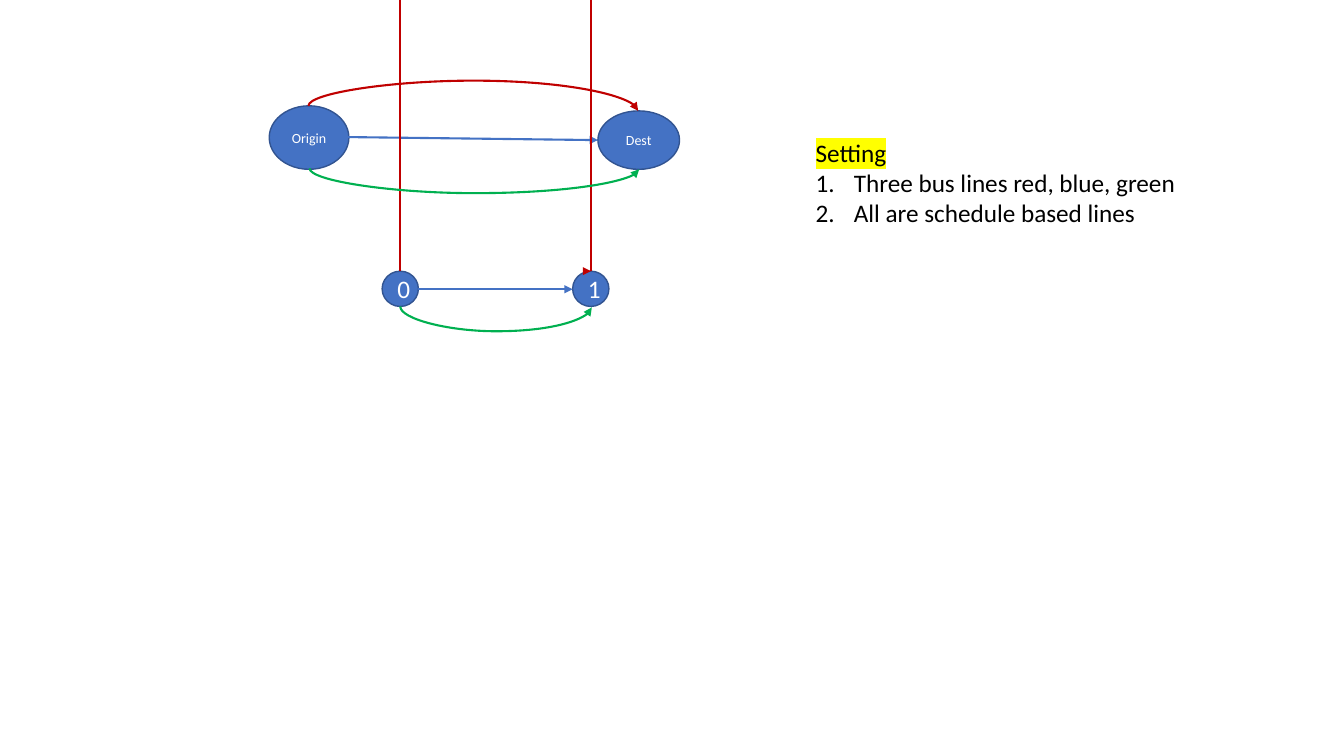
from lxml import etree
from pptx import Presentation, util as u
from pptx.dml.color import RGBColor
from pptx.enum import shapes, text
from pptx.oxml.ns import qn

BLUE, GREEN, RED, WHITE, BLACK = "4472C4", "00B050", "C00000", "FFFFFF", "000000"
OUTLINE, YELLOW = "325491", "FFFF00"
presentation = Presentation()
presentation.slide_width, presentation.slide_height = u.Inches(13.33), u.Inches(7.5)
slide = presentation.slides.add_slide(presentation.slide_layouts[6])
unit = presentation.slide_height / 75


def paint(color_format, color):
    color_format.rgb = RGBColor.from_string(color)


def connect(kind, color, left, top, right, bottom, arrow=True):
    connector = slide.shapes.add_connector(
        kind, *(round(value * unit) for value in (left, top, right, bottom)))
    paint(connector.line.color, color)
    connector.line.width = u.Pt(1.5)
    if arrow:
        etree.SubElement(connector.line._get_or_add_ln(), qn("a:tailEnd"), type="triangle")
    etree.SubElement(connector._element.spPr, qn("a:effectLst"))
    return connector


straight, curve = shapes.MSO_CONNECTOR.STRAIGHT, shapes.MSO_CONNECTOR.CURVE

for label, size, left, top, width, height in [
    ("0", 18, 37.9, 26.9, 3.6, 3.5),
    ("1", 18, 56.8, 26.9, 3.6, 3.5),
    ("Origin", 10, 26.7, 10.5, 7.9, 6.3),
    ("Dest", 10, 59.3, 11, 8.1, 5.8),
]:
    stop = slide.shapes.add_shape(
        shapes.MSO_SHAPE.OVAL, *(round(value * unit) for value in (left, top, width, height)))
    stop.shadow.inherit = False
    stop.fill.solid()
    paint(stop.fill.fore_color, BLUE)
    paint(stop.line.color, OUTLINE)
    stop.line.width = u.Pt(1)
    stop.text_frame.vertical_anchor = text.MSO_ANCHOR.MIDDLE
    paragraph = stop.text_frame.paragraphs[0]
    paragraph.alignment = text.PP_ALIGN.CENTER
    run = paragraph.add_run()
    run.text = label
    run.font.size, run.font.name = u.Pt(size), "Calibri"
    paint(run.font.color, WHITE)

connect(straight, BLUE, 41.5, 28.7, 56.8, 28.7)
connect(straight, BLUE, 34.5, 13.6, 59.3, 13.9)
for column in (39.7, 58.6):
    connect(straight, RED, column, 0, column, 26.9, arrow=False)

arrowhead = slide.shapes.add_shape(
    shapes.MSO_SHAPE.ISOSCELES_TRIANGLE,
    *(round(value * unit) for value in (57.8, 26.5, 0.8, 0.8)))
arrowhead.rotation = 90
arrowhead.shadow.inherit = False
arrowhead.fill.solid()
paint(arrowhead.fill.fore_color, RED)
arrowhead.line.fill.background()

for color, left, top, right, bottom, bend in [
    (GREEN, 39.7, 30.4, 58.7, 30.5, 2.5),
    (GREEN, 30.7, 16.7, 63.4, 16.8, 2.5),
    (RED, 30.6, 10.5, 63.3, 11, -2.5),
]:
    center_x, center_y = (left + right) / 2, (top + bottom) / 2
    across, down = (right - left) / 2, (bottom - top) / 2
    bus_line = connect(curve, color, center_x - down, center_y - across,
                       center_x + down, center_y + across)
    transform = bus_line._element.spPr.find(qn("a:xfrm"))
    transform.set("rot", str(270 * 60000))
    transform.set("flipH", "1")
    adjustments = bus_line._element.spPr.find(qn("a:prstGeom")).find(qn("a:avLst"))
    ratio = round(bend / (bottom - top) * 100000)
    etree.SubElement(adjustments, qn("a:gd"), name="adj1", fmla=f"val {ratio}")

setting = slide.shapes.add_textbox(
    *(round(value * unit) for value in (79.9, 13.1, 45.2, 16.2))).text_frame
setting.word_wrap = True
for index, line in enumerate([
    "Setting", "Three bus lines red, blue, green", "All are schedule based lines",
]):
    paragraph = setting.add_paragraph() if index else setting.paragraphs[0]
    run = paragraph.add_run()
    run.text = line
    run.font.size = u.Pt(18)
    paint(run.font.color, BLACK)
    if index:
        properties = paragraph._p.get_or_add_pPr()
        indent = u.Inches(0.38)
        properties.set("marL", str(indent))
        properties.set("indent", str(-indent))
        etree.SubElement(properties, qn("a:buFont"), typeface="+mj-lt")
        etree.SubElement(properties, qn("a:buAutoNum"), type="arabicPeriod")
    else:
        highlight = etree.SubElement(run.font._element, qn("a:highlight"))
        etree.SubElement(highlight, qn("a:srgbClr"), val=YELLOW)
    run.font.name = "Calibri"

presentation.save("out.pptx")
